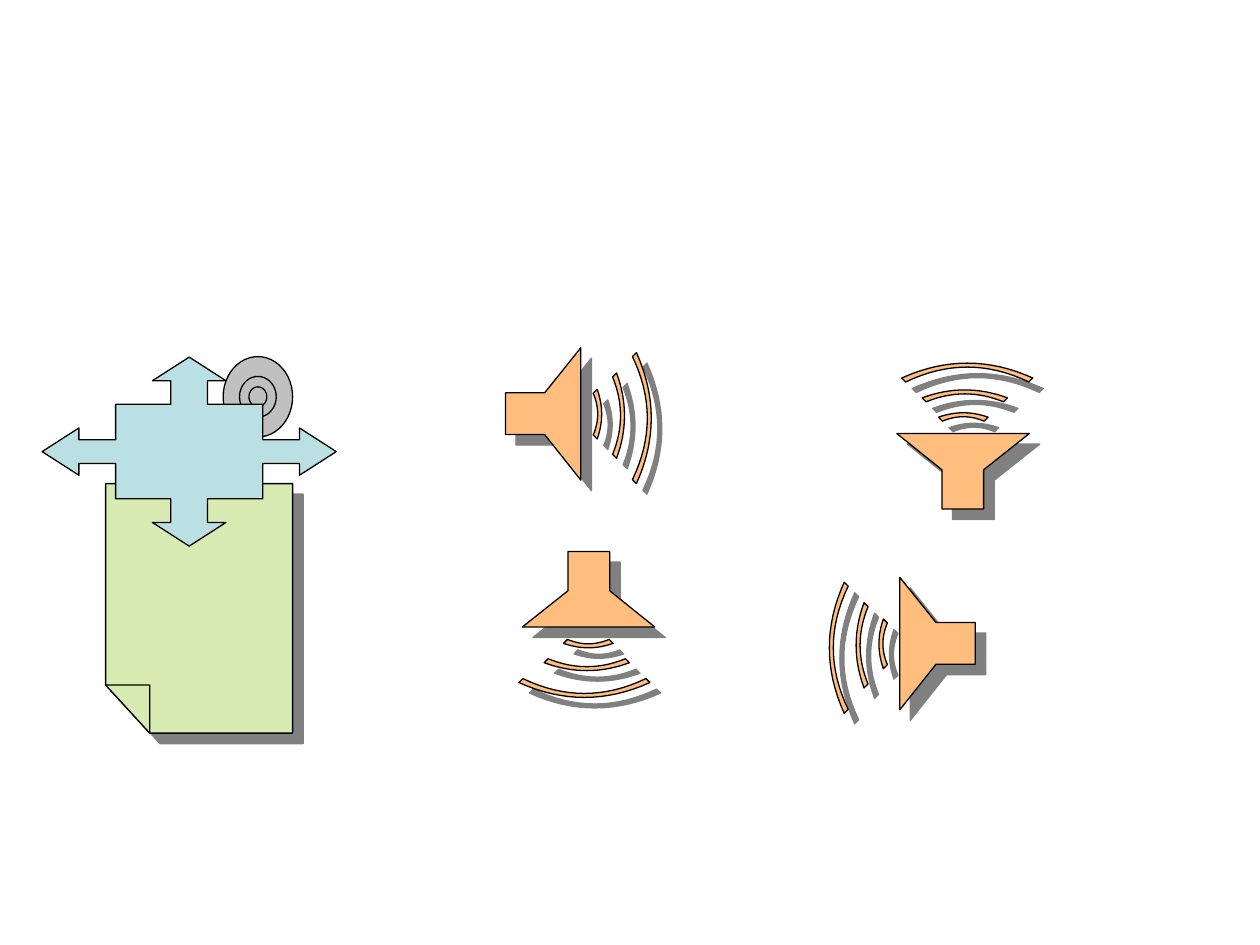
from dataclasses import dataclass
from math import cos, pi, sin

from lxml.etree import SubElement
from pptx import Presentation
from pptx.dml.color import RGBColor
from pptx.oxml.ns import qn
from pptx.util import Cm, Pt


@dataclass(frozen=True)
class Theme:
    ink: str = "000000"
    shadow: str = "808080"
    disc: str = "C0C0C0"
    page: str = "D8EBB3"
    arrows: str = "BBE0E3"
    speaker: str = "FFBE7D"
    line_width: float = 0.75
    shadow_distance: float = 8.5


THEME = Theme()


def split_contours(shape):
    joined = shape.element.xpath(".//a:path")[0]
    path_list = joined.getparent()
    for segment in list(joined):
        if segment.tag == qn("a:moveTo"):
            contour = SubElement(path_list, qn("a:path"), dict(joined.attrib))
        contour.append(segment)
    path_list.remove(joined)


def cast_shadow(shape):
    effects = shape.element.spPr.find(qn("a:effectLst"))
    shadow = SubElement(effects, qn("a:outerShdw"), {
        "dist": str(Pt(THEME.shadow_distance)), "dir": "2700000",
        "algn": "ctr", "rotWithShape": "0"})
    SubElement(shadow, qn("a:srgbClr"), val=THEME.shadow)


def draw_outline(slide, left, top, contours, fill, shadow=False):
    builder = None
    for contour in contours:
        start, *rest = [(Cm(x), Cm(y)) for x, y in contour]
        if builder is None:
            builder = slide.shapes.build_freeform(*start)
        else:
            builder.move_to(*start)
        builder.add_line_segments(rest, close=True)
    shape = builder.convert_to_shape(Cm(left), Cm(top))
    split_contours(shape)
    shape.fill.solid()
    shape.fill.fore_color.rgb = RGBColor.from_string(fill)
    shape.line.color.rgb = RGBColor.from_string(THEME.ink)
    shape.line.width = Pt(THEME.line_width)
    shape.shadow.inherit = False
    if shadow:
        cast_shadow(shape)
    return shape


def ring(center_x, center_y, radius_x, radius_y, steps=48):
    angles = [2 * pi * step / steps for step in range(steps)]
    return [(center_x + radius_x * cos(a), center_y + radius_y * sin(a)) for a in angles]


def add_disc(slide, left, top):
    rings = [ring(1.82, 0.81, *radii) for radii in ((0.7, 0.81), (0.37, 0.41), (0.18, 0.2))]
    bar = [(0, 1.5), (0.58, 1.5), (0.58, 1.75), (0, 1.75)]
    handle = [(0.91, 2.29), (1.02, 2.29), (1.42, 1.47), (1.55, 1.57),
              (1.07, 2.51), (0.86, 2.51), (0.18, 1.75), (0.41, 1.75)]
    draw_outline(slide, left, top, [*rings, bar, handle], THEME.disc)


def add_page(slide, left, top, width, height):
    fold_x, fold_y = 0.89, height - 0.97
    sheet = [(0, 0), (width, 0), (width, height), (fold_x, height), (0, fold_y)]
    fold = [(0, fold_y), (fold_x, fold_y), (fold_x, height)]
    draw_outline(slide, left, top, [sheet, fold], THEME.page, shadow=True)


def add_arrows(slide, left, top, width, height):
    arm = [(4, 4), (7, 4), (7, 2), (6, 2), (8, 0), (10, 2), (9, 2), (9, 4)]
    outline = []
    for _ in range(4):
        outline += arm
        arm = [(16 - y, x) for x, y in arm]
    contour = [(x * width / 16, y * height / 16) for x, y in outline]
    draw_outline(slide, left, top, [contour], THEME.arrows)


def wave(tip, center, half, depth, thickness=0.08, steps=16):
    def edge(x, reach):
        turns = [2 * step / steps - 1 for step in range(steps + 1)]
        return [(x + depth * (1 - t * t), center + reach * t) for t in turns]

    return edge(tip, half) + edge(tip - thickness, half - thickness)[::-1]


def add_speaker(slide, left, top, rotation=0, mirrored=False):
    width = 2.94
    body = [(0, 0.91), (0.79, 0.91), (1.52, 0), (1.52, 2.67), (0.79, 1.75), (0, 1.75)]
    waves = [wave(1.85, 1.34, 0.5, 0.09),
             wave(2.24, 1.37, 0.86, 0.16),
             wave(2.64, 1.42, 1.32, 0.3)]
    contours = [body, *waves]
    if mirrored:
        contours = [[(width - x, y) for x, y in contour] for contour in contours]
    shape = draw_outline(slide, left, top, contours, THEME.speaker, shadow=True)
    shape.rotation = rotation


def main():
    presentation = Presentation()
    presentation.slide_width, presentation.slide_height = Cm(25.4), Cm(19.05)
    slide = presentation.slides.add_slide(presentation.slide_layouts[6])
    add_disc(slide, 3.38, 7.19)
    add_page(slide, 2.13, 9.75, 3.77, 5.03)
    add_arrows(slide, 0.85, 7.2, 5.93, 3.81)
    add_speaker(slide, 10.19, 7.01)
    add_speaker(slide, 16.72, 11.64, mirrored=True)
    add_speaker(slide, 10.36, 11.22, rotation=90)
    add_speaker(slide, 17.98, 7.42, rotation=270)
    presentation.save("out.pptx")


if __name__ == "__main__":
    main()
